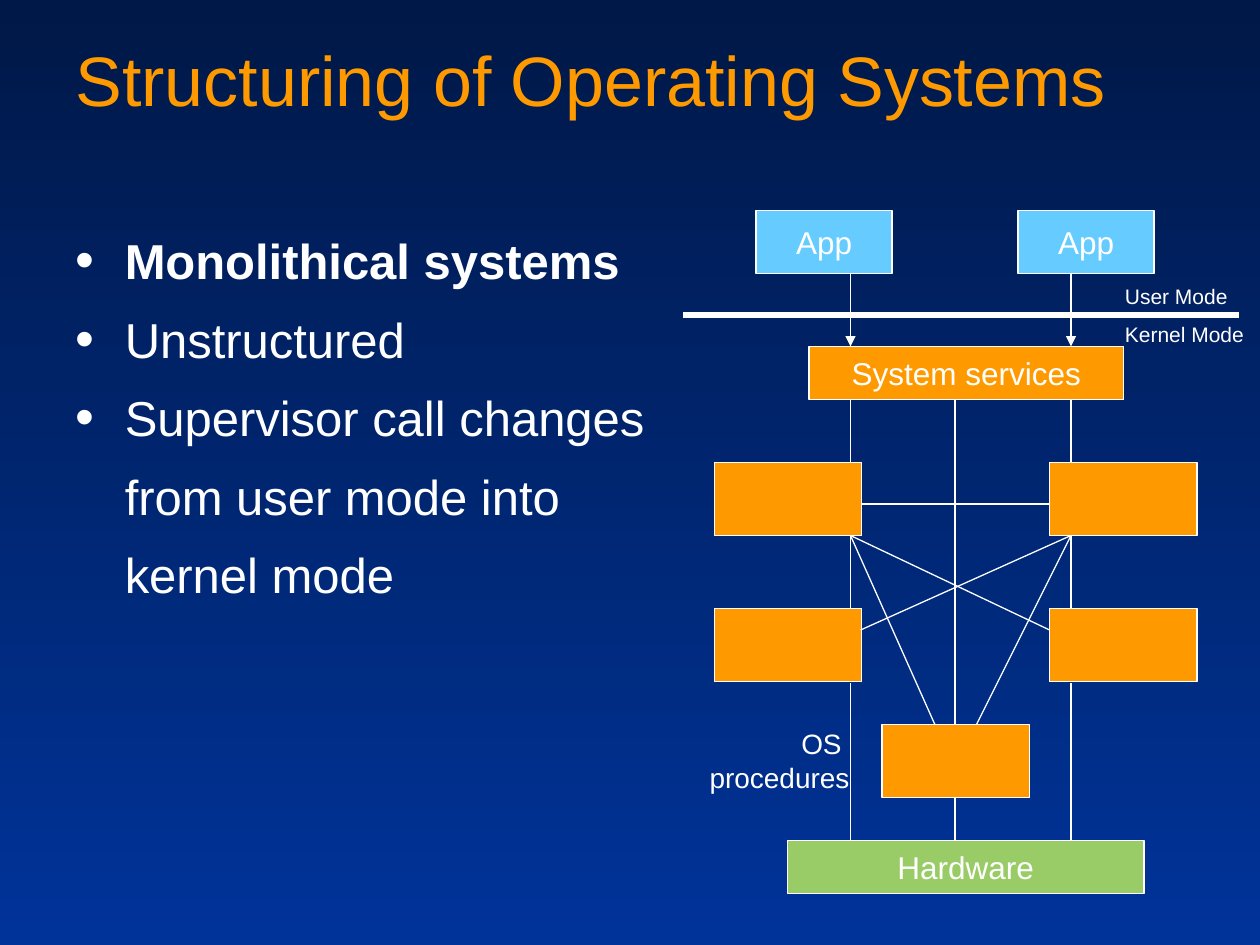
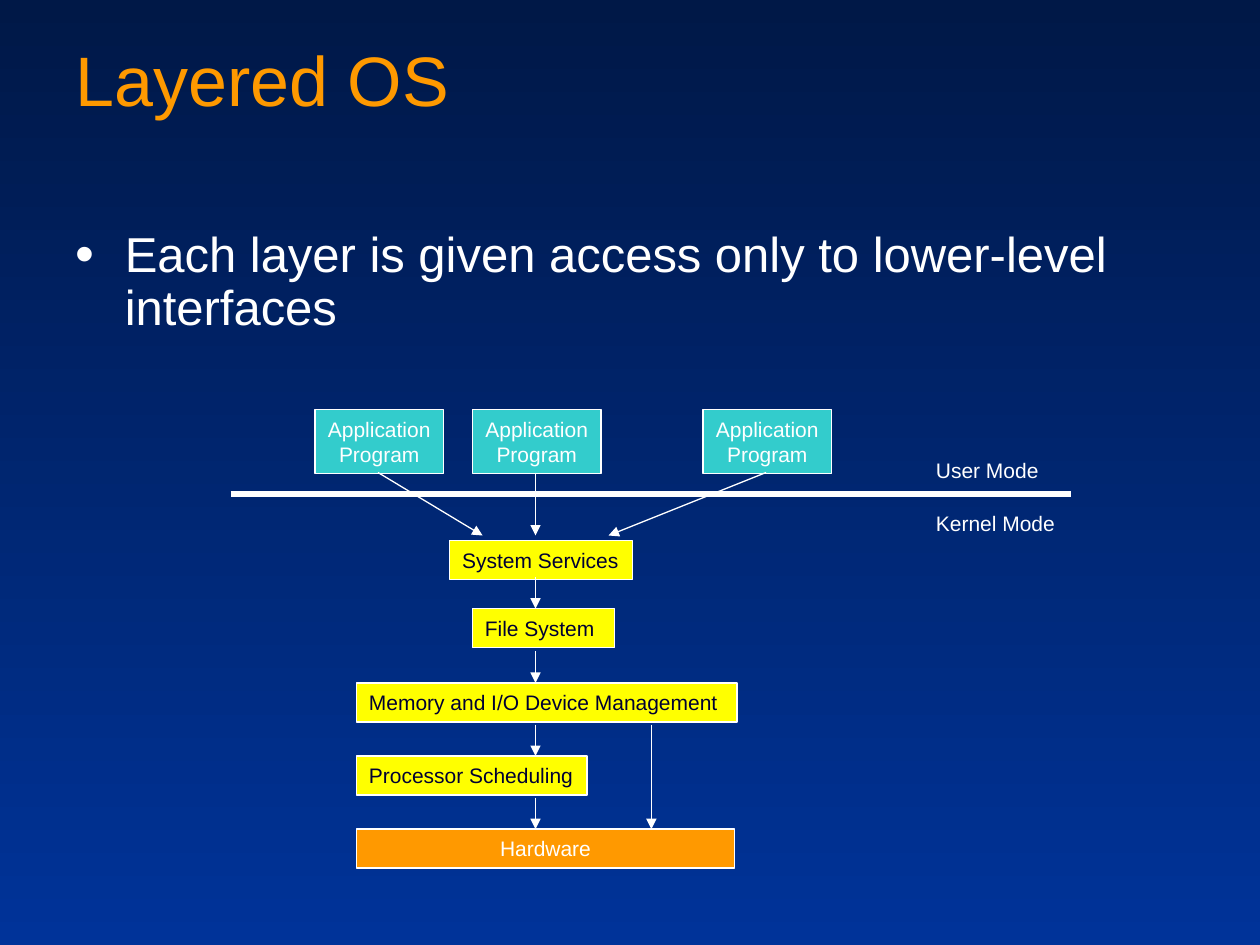
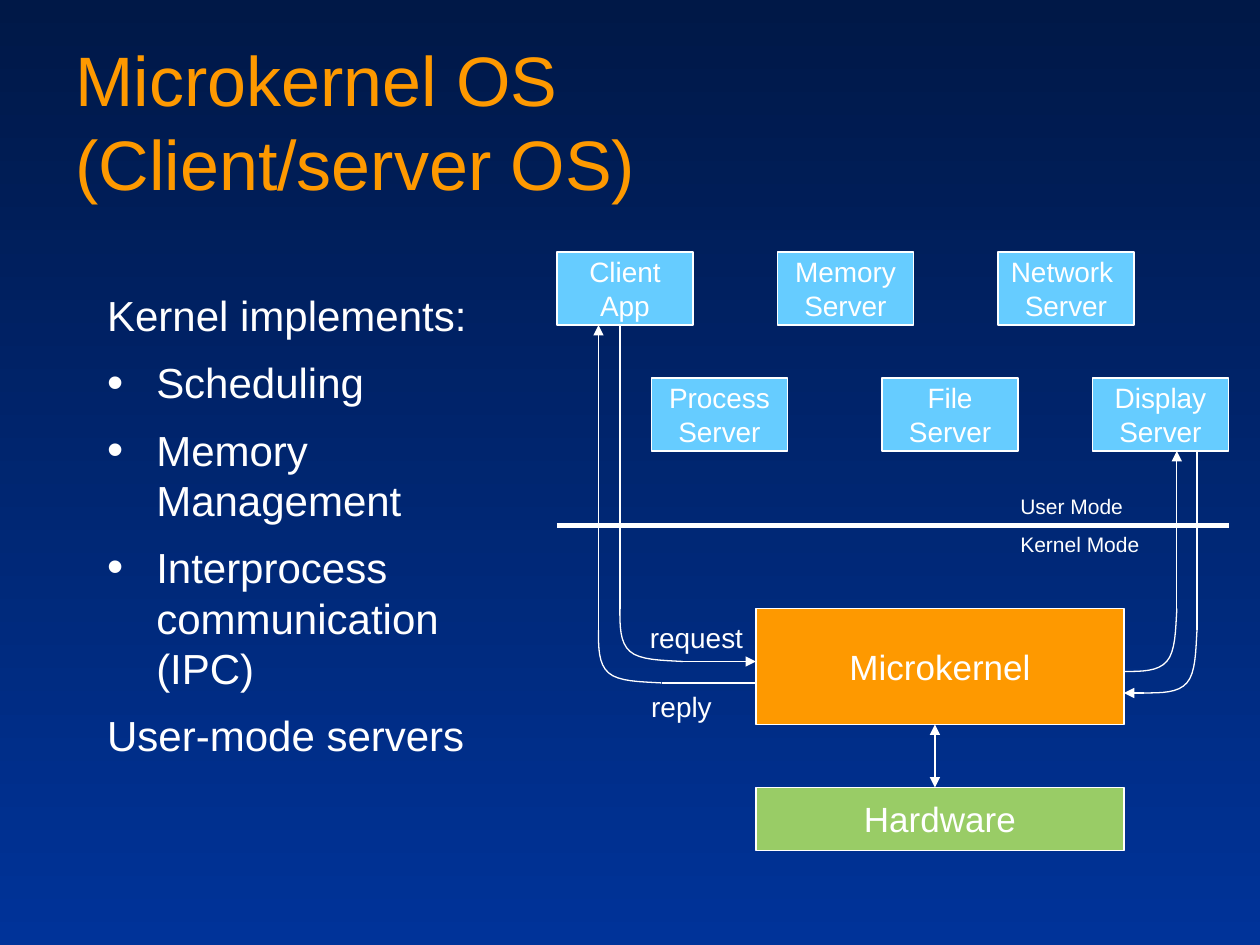
"""Build three slides on how operating systems are structured."""
import pptx
import pptx.dml.color
import pptx.enum.shapes
import pptx.enum.text
import pptx.oxml.ns
import pptx.util
import lxml.etree

Inches = pptx.util.Inches
Pt = pptx.util.Pt
Align = pptx.enum.text.PP_ALIGN
Fit = pptx.enum.text.MSO_AUTO_SIZE
Anchor = pptx.enum.text.MSO_ANCHOR
Rect = pptx.enum.shapes.MSO_SHAPE.RECTANGLE
Straight = pptx.enum.shapes.MSO_CONNECTOR.STRAIGHT
qn = pptx.oxml.ns.qn
rgb = pptx.dml.color.RGBColor.from_string

WHITE, INK, TITLE = "FFFFFF", "000033", "FE9900"
BLUE, TEAL, GREEN = "66CCFF", "33CCCC", "99CC66"
ORANGE, YELLOW = "FF9900", "FFFF00"
FONT = "Arial"


def box(slide, text, x, y, w, h, size=12, fill=None, ink=WHITE, align=Align.CENTER):
    area = [Inches(v) for v in (x, y, w, h)]
    if fill:
        shape = slide.shapes.add_shape(Rect, *area)
        shape.shadow.inherit = False
        shape.fill.solid()
        shape.fill.fore_color.rgb = rgb(fill)
        shape.line.color.rgb = rgb(WHITE)
        shape.line.width = Pt(0.75)
    else:
        shape = slide.shapes.add_textbox(*area)
    if not text:
        return
    frame = shape.text_frame
    frame.word_wrap = False
    grows = fill and align == Align.LEFT
    frame.auto_size = Fit.SHAPE_TO_FIT_TEXT if grows else Fit.NONE
    frame.vertical_anchor = Anchor.MIDDLE if fill else Anchor.TOP
    frame.text = text
    for para in frame.paragraphs:
        para.alignment = align
        for run in para.runs:
            run.font.name, run.font.size = FONT, Pt(size)
            run.font.color.rgb = rgb(ink)


def link(slide, x1, y1, x2, y2, ends=(), width=0.75):
    line = slide.shapes.add_connector(Straight, *[Inches(v) for v in (x1, y1, x2, y2)])
    line.line.color.rgb = rgb(WHITE)
    line.line.width = Pt(width)
    for end in ends:
        lxml.etree.SubElement(line.line._get_or_add_ln(), qn("a:" + end), type="triangle")
    lxml.etree.SubElement(line._element.spPr, qn("a:effectLst"))


TAIL = ("tailEnd",)
BOTH = ("headEnd", "tailEnd")

deck = pptx.Presentation()
deck.slide_width, deck.slide_height = Inches(10), Inches(7.5)
back = deck.slide_master.background.fill
back.gradient()
back.gradient_angle = 270
for stop, color in zip(back.gradient_stops, ("001847", "003399")):
    stop.color.rgb = rgb(color)

pages = [
    ("Structuring of Operating Systems", (0.5, 1.78, 9, 5.03), 28, None, [
        ("bullet", "Monolithical systems"),
        ("bullet", "Unstructured"),
        ("bullet", "Supervisor call changes"),
        ("inner", "from user mode into"),
        ("inner", "kernel mode")]),
    ("Layered OS", (0.5, 1.78, 9, 1.01), 28, 0.9, [
        ("bullet", "Each layer is given access only to lower-level interfaces")]),
    ("Microkernel OS\n(Client/server OS)", (0.75, 2.25, 3.08, 4.58), 24, None, [
        ("plain", "Kernel implements:"),
        ("bullet", "Scheduling"),
        ("bullet", "Memory Management"),
        ("bullet", "Interprocess communication (IPC)"),
        ("plain", "User-mode servers")]),
]
indents = {"bullet": (0.39, -0.39), "inner": (0.39, 0), "plain": (0.39, -0.39)}

for title, area, size, space, items in pages:
    slide = deck.slides.add_slide(deck.slide_layouts[1])
    head, body = slide.placeholders
    for holder, place in ((head, (0.5, 0.24, 9, 1.25)), (body, area)):
        holder.left, holder.top, holder.width, holder.height = [Inches(v) for v in place]
        holder.text_frame.auto_size = Fit.NONE
        holder.text_frame.word_wrap = True
        holder.text_frame.vertical_anchor = Anchor.TOP
    para = head.text_frame.paragraphs[0]
    para.text = title
    para.alignment = Align.LEFT
    for run in para.runs:
        run.font.name, run.font.size = FONT, Pt(40)
        run.font.color.rgb = rgb(TITLE)
    body.text_frame.text = "\n".join(text for kind, text in items)
    for row, (para, (kind, text)) in enumerate(zip(body.text_frame.paragraphs, items)):
        props = para._p.get_or_add_pPr()
        left, hang = indents[kind]
        props.set("marL", str(Inches(left)))
        props.set("indent", str(Inches(hang)))
        if kind == "bullet":
            lxml.etree.SubElement(props, qn("a:buSzPct"), val="110000")
            lxml.etree.SubElement(props, qn("a:buChar"), char="•")
        else:
            lxml.etree.SubElement(props, qn("a:buNone"))
        para.space_before = Pt(0.2 * size if row else 0)
        para.space_after = Pt(0.2 * size)
        if space:
            para.line_spacing = space
        for run in para.runs:
            run.font.name, run.font.size = FONT, Pt(size)
            run.font.color.rgb = rgb(WHITE)
mono, layered, micro = deck.slides
mono.placeholders[1].text_frame.paragraphs[0].runs[0].font.bold = True

for x in (6, 8.08):
    box(mono, "App", x, 1.67, 1.08, 0.5, 18, BLUE)
box(mono, "System services", 6.42, 2.75, 2.5, 0.42, 18, ORANGE)
for x, y in ((5.67, 3.67), (5.67, 4.83), (8.33, 3.67), (8.33, 4.83), (7, 5.75)):
    box(mono, "", x, y, 1.17, 0.58, fill=ORANGE)
box(mono, "Hardware", 6.25, 6.67, 2.83, 0.42, 18, GREEN)
for x, far, foot in ((6.75, 8.33, 7.42), (8.5, 6.83, 7.75)):
    link(mono, x, 2.17, x, 2.75, TAIL)
    for top, base in ((3.17, 3.67), (4.25, 4.83), (5.42, 6.67)):
        link(mono, x, top, x, base)
    link(mono, x, 4.25, far, 5)
    link(mono, x, 4.25, foot, 5.75)
link(mono, 7.58, 3.17, 7.58, 5.75)
link(mono, 7.58, 6.33, 7.58, 6.67)
link(mono, 6.83, 4, 8.33, 4)
box(mono, "OS \nprocedures", 5.53, 5.72, 1.31, 0.64, 16, align=Align.RIGHT)

for x in (2.5, 3.75, 5.58):
    box(layered, "Application\nProgram", x, 3.25, 1.02, 0.51, fill=TEAL)
for text, x, y, w in (
        ("System Services", 3.57, 4.29, 1.45),
        ("File System", 3.75, 4.83, 1.13),
        ("Memory and I/O Device Management", 2.83, 5.42, 3.02),
        ("Processor Scheduling", 2.83, 6, 1.83)):
    box(layered, text, x, y, w, 0.31, fill=YELLOW, ink=INK, align=Align.LEFT)
box(layered, "Hardware", 2.83, 6.58, 3, 0.31, fill=ORANGE)
for start, end in ((3, 3.83), (4.25, 4.25), (6.08, 4.83)):
    link(layered, start, 3.75, end, 4.25, TAIL)
for top, base in ((4.58, 4.83), (5.17, 5.42), (5.75, 6), (6.33, 6.58)):
    link(layered, 4.25, top, 4.25, base, TAIL)
link(layered, 5.17, 5.75, 5.17, 6.58, TAIL)

for text, x, y in (
        ("Client\nApp", 4.42, 2), ("Memory\nServer", 6.17, 2), ("Network \nServer", 7.92, 2),
        ("Process\nServer", 5.17, 3), ("File\nServer", 7, 3), ("Display\nServer", 8.67, 3)):
    box(micro, text, x, y, 1.08, 0.58, 16, BLUE)
box(micro, "Microkernel", 6, 4.83, 2.92, 0.92, 20, TITLE)
box(micro, "Hardware", 6, 6.25, 2.92, 0.5, 20, GREEN)
link(micro, 7.42, 5.75, 7.42, 6.25, BOTH)

bend = []
for curve in (((0, 0), (0, 0.14), (0, 0.27), (0.08, 0.34)),
              ((0.08, 0.34), (0.16, 0.41), (0.33, 0.41), (0.5, 0.42))):
    for step in range(9):
        t = step / 8
        parts = ((1 - t) ** 3, 3 * t * (1 - t) ** 2, 3 * t * t * (1 - t), t ** 3)
        bend.append([sum(p * c[axis] for p, c in zip(parts, curve)) for axis in (0, 1)])
for x, y, turned in ((4.92, 4.83, False), (4.75, 5, False), (9.08, 5.5, True), (8.92, 5.33, True)):
    spots = [(x + b, y - a) if turned else (x + a, y + b) for a, b in bend]
    spots = [(Inches(a), Inches(b)) for a, b in spots]
    pen = micro.shapes.build_freeform(*spots[0])
    pen.add_line_segments(spots[1:], close=False)
    arc = pen.convert_to_shape()
    arc.shadow.inherit = False
    arc.fill.background()
    arc.line.color.rgb = rgb(WHITE)
    arc.line.width = Pt(0.75)
for x1, y1, x2, y2, ends in (
        (4.92, 4.83, 4.92, 2.58, ()), (4.75, 5, 4.75, 2.58, TAIL),
        (5.42, 5.25, 6, 5.25, TAIL), (5.25, 5.42, 6, 5.42, ()),
        (9.08, 5.5, 8.92, 5.5, TAIL), (9.34, 4.92, 9.34, 3.58, TAIL),
        (9.5, 5, 9.5, 3.58, ())):
    link(micro, x1, y1, x2, y2, ends)
box(micro, "request", 5.06, 4.88, 0.94, 0.37, 16, align=Align.LEFT)
box(micro, "reply", 5.07, 5.42, 0.68, 0.37, 16, align=Align.LEFT)

for slide, left, right, y, x, user, kernel in (
        (mono, 5.42, 9.83, 2.5, 8.83, 2.2, 2.5),
        (layered, 1.83, 8.5, 3.92, 7.33, 3.58, 4),
        (micro, 4.42, 9.75, 4.17, 8, 3.87, 4.17)):
    link(slide, left, y, right, y, width=3)
    box(slide, "User Mode", x, user, 1.03, 0.3, align=Align.LEFT)
    box(slide, "Kernel Mode", x, kernel, 1.16, 0.3, align=Align.LEFT)

deck.save("out.pptx")
